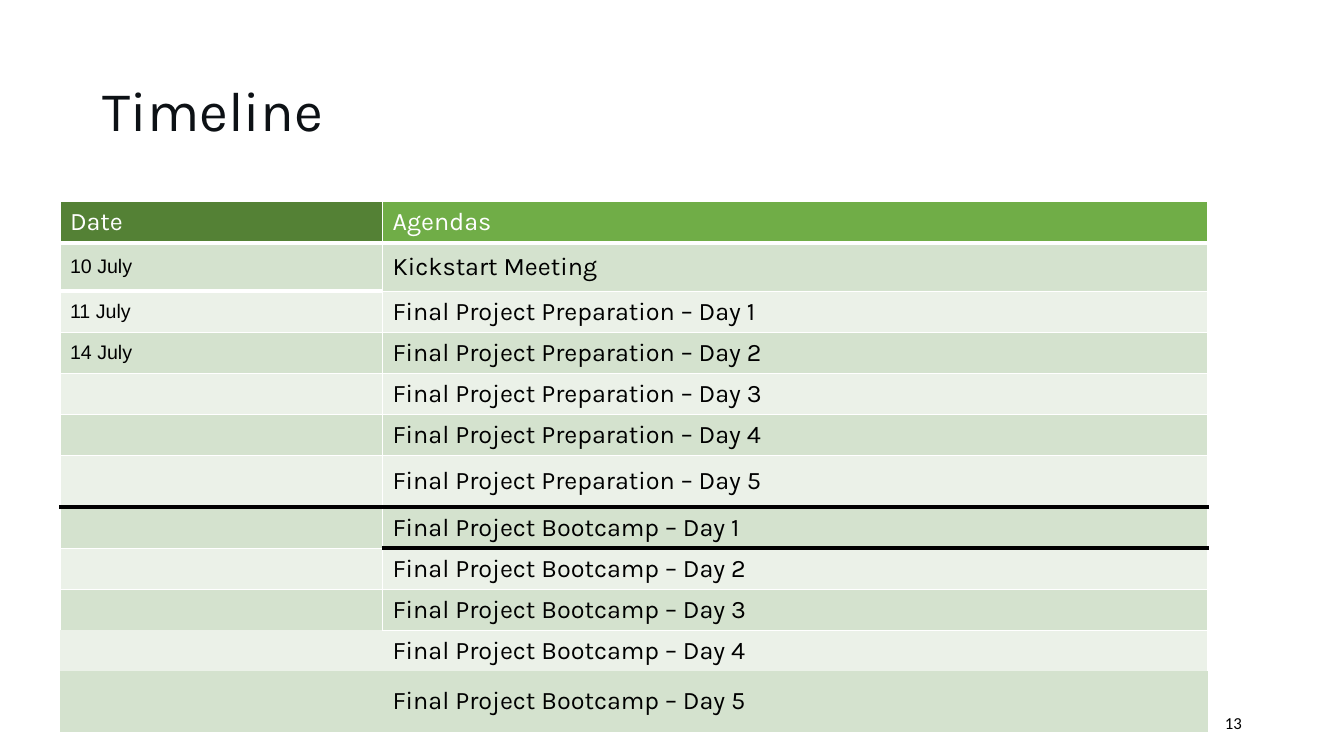
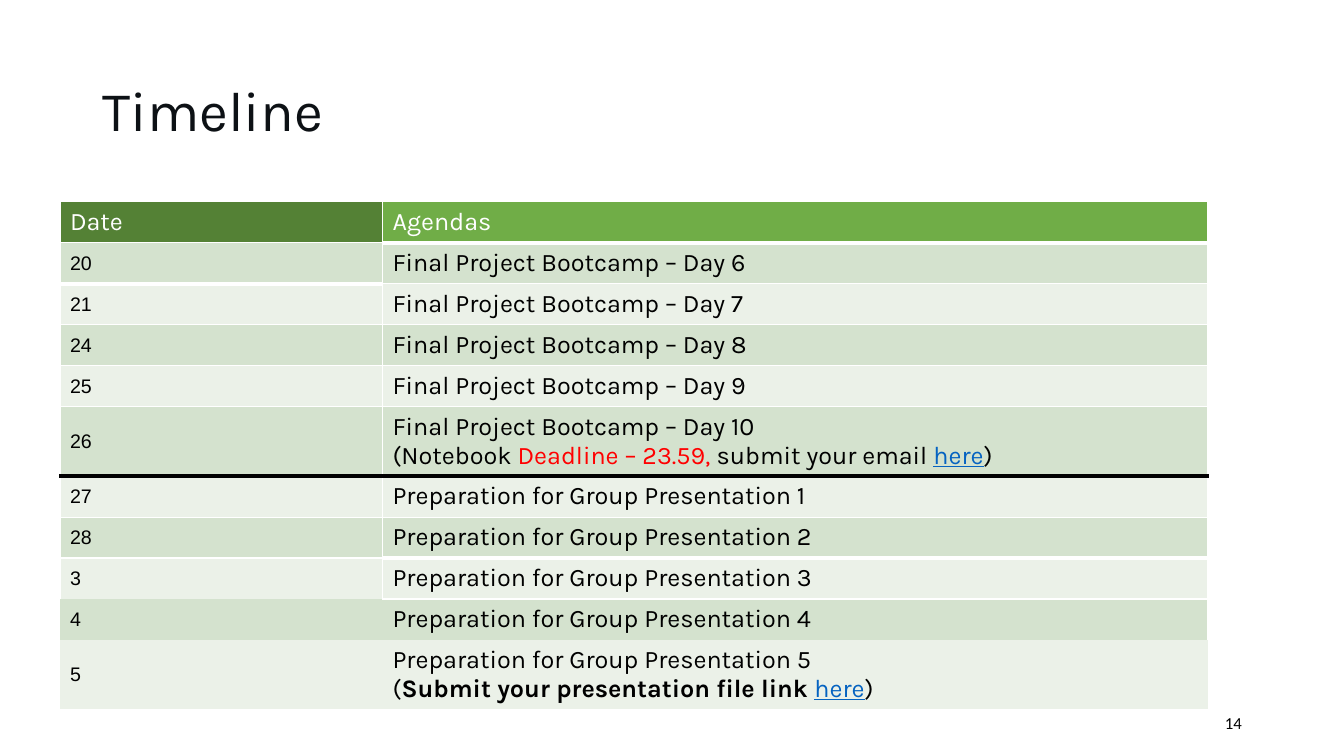
from lxml import etree
from pptx import Presentation
from pptx.dml.color import RGBColor
from pptx.enum.text import MSO_ANCHOR, MSO_AUTO_SIZE, PP_ALIGN
from pptx.oxml.ns import qn
from pptx.util import Pt

MID = MSO_ANCHOR.MIDDLE
LEFT, RIGHT = PP_ALIGN.LEFT, PP_ALIGN.RIGHT
WHITE, BLACK, RED, BLUE = "FFFFFF", "000000", "FF0000", "0563C1"
HEADS = ("548135", "70AD47")
BANDS = ("EBF1E8", "D4E2CE")
TITLE = {"name": "Karla", "size": Pt(40), "color": "0D1115", "bold": False}
HEAD = {"name": "Karla", "size": Pt(18), "color": WHITE, "bold": False}
BODY = {**HEAD, "color": BLACK}
DATE = {**BODY, "name": "Arial", "size": Pt(14)}
PAGE = {**BODY, "name": "Calibri", "size": Pt(12)}
ALERT = {"color": RED}
LINK = {"color": BLUE, "underline": True}
STRONG = {"bold": True}
TITLE_BOX = (66, 28.8, 828, 104.4)
PAGE_BOX = (678.2, 501.8, 216, 28.8)
GRID_BOX = (42.8, 144.2, 820.1)
COLS = (230.4, 589.7)
ROW = 29.3
THIN, THICK, RULE = (1, WHITE), (3, WHITE), (3, BLACK)


def tint(hue):
    return RGBColor.from_string(hue)


def style(font, look):
    for key, value in look.items():
        if key == "color":
            font.color.rgb = tint(value)
        else:
            setattr(font, key, value)


def write(frame, lines, look, align=LEFT):
    for n, line in enumerate(lines):
        para = frame.paragraphs[0] if n == 0 else frame.add_paragraph()
        para.alignment = align
        for text, extra in line:
            run = para.add_run()
            run.text = text
            style(run.font, {**look, **extra})


def edge(cell, side, pen):
    line = etree.SubElement(cell._tc.get_or_add_tcPr(), qn("a:ln" + side))
    if pen is None:
        line.set("w", "0")
        etree.SubElement(line, qn("a:noFill"))
    else:
        width, hue = pen
        line.set("w", str(Pt(width)))
        fill = etree.SubElement(line, qn("a:solidFill"))
        etree.SubElement(fill, qn("a:srgbClr")).set("val", hue)


def frame_cell(cell, row, col, last, rules):
    bare = row > last - 2

    def below(r):
        open_edge = r > last - 2 or (r == last - 2 and col == 0)
        return rules.get((r, col), None if open_edge else THIN)

    first = row == last - 1 and col == 1
    pens = {
        "L": None if bare else THIN,
        "R": THIN if first or not bare else None,
        "T": below(row - 1) if row else THIN,
        "B": below(row),
    }
    for side, pen in pens.items():
        edge(cell, side, pen)


def add_title(slide, text, box):
    title = slide.shapes.title
    title.left, title.top, title.width, title.height = map(Pt, box)
    frame = title.text_frame
    frame.auto_size = MSO_AUTO_SIZE.NONE
    frame.vertical_anchor = MID
    write(frame, [[(text, {})]], TITLE)
    frame.paragraphs[0].line_spacing = 0.9


def add_page(slide, page, box):
    frame = slide.shapes.add_textbox(*map(Pt, box)).text_frame
    frame.word_wrap = True
    frame.vertical_anchor = MID
    write(frame, [[(str(page), {})]], PAGE, RIGHT)


def add_grid(slide, rows, tall, rules, box):
    left, top, width = box
    highs = [tall.get(n, ROW) for n in range(len(rows) + 1)]
    grid = slide.shapes.add_table(
        len(highs), len(COLS), Pt(left), Pt(top), Pt(width), Pt(sum(highs))
    ).table
    for col, wide in zip(grid.columns, COLS):
        col.width = Pt(wide)
    for row, high in zip(grid.rows, highs):
        row.height = Pt(high)
    for r, pair in enumerate([("Date", "Agendas"), *rows]):
        for c, item in enumerate(pair):
            cell = grid.cell(r, c)
            frame_cell(cell, r, c, len(rows), rules)
            cell.fill.solid()
            cell.fill.fore_color.rgb = tint(BANDS[r % 2] if r else HEADS[c])
            cell.vertical_anchor = MID
            look = HEAD if r == 0 else (DATE, BODY)[c]
            lines = [[(item, {})]] if isinstance(item, str) else item
            if item:
                write(cell.text_frame, lines, look)


def add_plan(deck, page, rows, tall, rules):
    slide = deck.slides.add_slide(deck.slide_layouts[5])
    add_title(slide, "Timeline", TITLE_BOX)
    add_grid(slide, rows, tall, rules, GRID_BOX)
    add_page(slide, page, PAGE_BOX)


def series(name, days):
    return [f"{name} {day}" for day in days]


def main():
    deck = Presentation()
    deck.slide_width, deck.slide_height = Pt(960), Pt(540)
    camp = "Final Project Bootcamp – Day"

    dates = ["10 July", "11 July", "14 July"] + [""] * 8
    tasks = ["Kickstart Meeting"]
    tasks += series("Final Project Preparation – Day", range(1, 6))
    tasks += series(camp, range(1, 6))
    rules = {(0, 0): THICK, (0, 1): THICK, (1, 0): THICK,
             (6, 0): RULE, (6, 1): RULE, (7, 1): RULE}
    add_plan(deck, 13, list(zip(dates, tasks)),
             {1: 34.6, 6: 37.1, 11: 43.2}, rules)

    dates = ["20", "21", "24", "25", "26", "27", "28", "3", "4", "5"]
    tasks = series(camp, range(6, 11))
    tasks += series("Preparation for Group Presentation", range(1, 6))
    tasks[4] = [
        [(tasks[4], {})],
        [("(Notebook ", {}), ("Deadline – 23.59, ", ALERT),
         ("submit your email ", {}), ("here", LINK), (")", {})],
    ]
    tasks[9] = [
        [(tasks[9], {})],
        [("(", {}), ("Submit your presentation file link ", STRONG),
         ("here", LINK), (")", {})],
    ]
    rules = {(0, 1): THICK, (1, 0): THICK, (5, 0): RULE, (5, 1): RULE,
             (7, 1): THICK}
    add_plan(deck, 14, list(zip(dates, tasks)), {5: 49.3, 10: 49.3}, rules)
    deck.save("out.pptx")


if __name__ == "__main__":
    main()
